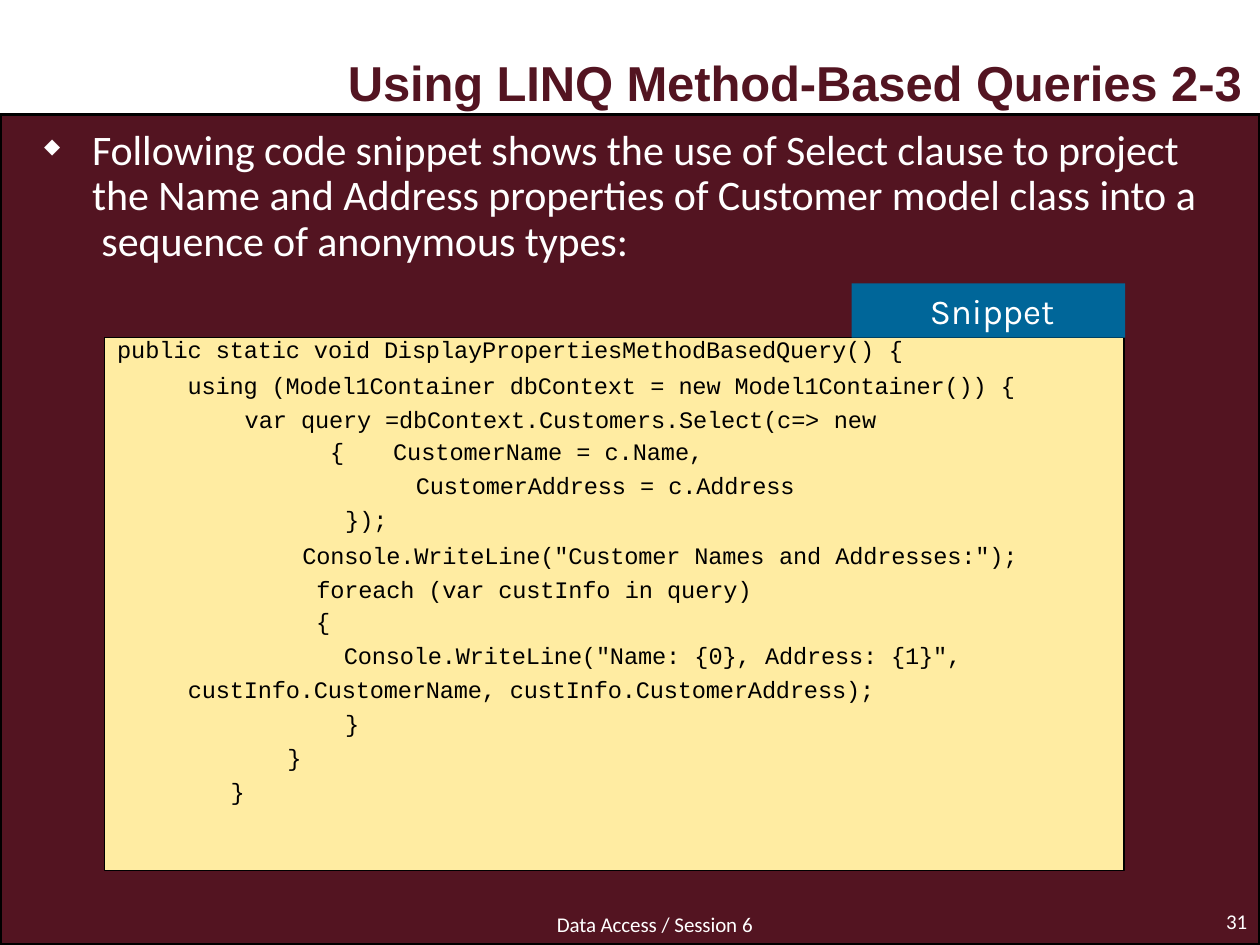
import pptx
import pptx.util
import pptx.dml.color
import pptx.enum.shapes
import pptx.enum.text
import pptx.oxml
import pptx.oxml.ns
from dataclasses import dataclass

Inches, Pt = pptx.util.Inches, pptx.util.Pt


@dataclass(frozen=True)
class Theme:
    """Colours, fonts and tracking used on the slide."""
    maroon: str = "531421"
    cream: str = "FFECA2"
    blue: str = "006699"
    white: str = "FFFFFF"
    black: str = "000000"
    tight: int = -5  # hundredths of a point
    # font, size, colour, bold
    title: tuple = ("Arial", 28, maroon, True)
    body: tuple = ("Calibri", 24, white, False)
    footer: tuple = ("Calibri", 12, white, False)
    code: tuple = ("Courier New", 13.5, black, False)
    label: tuple = ("Karla", 20, white, False)


T = Theme()

# Runs are parted by "|" and alternate between tight and normal tracking.
# Each paragraph: text, left indent, first-line indent, line spacing, space before
TITLE = [("Using LINQ Method-Based Queries |2-3", 2.67, 0, None, 0.9)]
NUMBER = [("|31", 0.04, 0, Pt(12.4), 0)]
FOOTER = [("Data Access |/ |Session |6", 0.01, 0, Pt(12.4), 0)]
BODY = [("Following code snippet shows |the |use of Select clause to project |"
         "the Name and |Address properties of Customer |model class |into |a\n |"
         "sequence of anonymous types:", 0.39, -0.38, Pt(25.9), 4.2)]
LABEL = [("Snippet", 0.62, 0, None, 3.5)]
CODE = [
    ("|public |static void DisplayPropertiesMethodBasedQuery() |{", 0.1, 0, Pt(14.7), 0),
    ("using (Model1Container dbContext |= |new Model1Container()) |{\n var |"
     "query =dbContext.Customers.Select(c=>| new", 1, -0.34, Pt(19.5), 1.1),
    ("|{\tCustomerName = c.Name,", 1.79, 0, None, 1.9),
    ("CustomerAddress |= |c.Address", 2.47, 0, None, 3.2),
    ("|});", 1.91, 0, None, 3.2),
    ("Console.WriteLine(\"Customer Names |and |Addresses:\");\n foreach |"
     "|(var custInfo |in query)", 1.57, 0, Pt(19.5), 1.1),
    ("|{", 1.68, 0, None, 2),
    ("Console.WriteLine(\"Name: |{0}, |Address: {1}\",\n custInfo.CustomerName, "
     "custInfo.CustomerAddress);", 0.55, 1.35, 1.2, 0),
    ("|}", 1.91, 0, None, 3.2),
    ("|}", 1.45, 0, None, 3.2),
    ("|}", 1, 0, None, 3.2),
]
CODE_TAB = 2.47


def rgb(value):
    """Turn a hex string into a colour."""
    return pptx.dml.color.RGBColor.from_string(value)


def add_runs(p, text, style):
    """Add the runs of one paragraph, breaking lines at newlines."""
    font, size, colour, bold = style
    for i, part in enumerate(text.split("|")):
        for j, line in enumerate(part.split("\n")):
            if j:
                p.add_line_break()
            if not line:
                continue
            r = p.add_run()
            r.text = line
            r.font.name, r.font.size, r.font.bold = font, Pt(size), bold
            r.font.color.rgb = rgb(colour)
            if i % 2 == 0:
                r.font._element.set("spc", str(T.tight))


def write(shape, paragraphs, style, top=0):
    """Fill a shape with left-aligned paragraphs."""
    tf = shape.text_frame
    tf.word_wrap = True
    tf.auto_size = pptx.enum.text.MSO_AUTO_SIZE.NONE
    tf.vertical_anchor = pptx.enum.text.MSO_ANCHOR.TOP
    tf.margin_left = tf.margin_right = tf.margin_bottom = 0
    tf.margin_top = Inches(top)
    for i, (text, left, first, spacing, before) in enumerate(paragraphs):
        p = tf.add_paragraph() if i else tf.paragraphs[0]
        p.alignment = pptx.enum.text.PP_ALIGN.LEFT
        p.space_before = Pt(before)
        p.line_spacing = spacing or 1.0
        pPr = p._p.get_or_add_pPr()
        pPr.set("marL", str(Inches(left)))
        pPr.set("indent", str(Inches(first)))
        add_runs(p, text, style)
    return tf


def add_xml(p, xml):
    """Append one drawing element to the paragraph properties."""
    p._p.get_or_add_pPr().append(pptx.oxml.parse_xml(
        xml.replace(" ", " " + pptx.oxml.ns.nsdecls("a") + " ", 1)))


def add_box(s, at, fill, line_width=0):
    """Add a flat rectangle, outlined in black when a width is given."""
    sp = s.shapes.add_shape(pptx.enum.shapes.MSO_SHAPE.RECTANGLE, *map(Inches, at))
    sp.shadow.inherit = False
    sp.fill.solid()
    sp.fill.fore_color.rgb = rgb(fill)
    if line_width:
        sp.line.color.rgb = rgb(T.black)
        sp.line.width = Pt(line_width)
    else:
        sp.line.fill.background()
    return sp


def add_text(s, at, paragraphs, style, top=0):
    """Add a text box."""
    return write(s.shapes.add_textbox(*map(Inches, at)), paragraphs, style, top)


def build():
    """Build and save the slide."""
    prs = pptx.Presentation()
    prs.slide_width, prs.slide_height = Inches(10), Inches(7.5)
    s = prs.slides.add_slide(prs.slide_layouts[5])
    s.background.fill.solid()
    s.background.fill.fore_color.rgb = rgb(T.white)

    add_box(s, (0, 0.91, 10, 6.59), T.maroon, 2.04)
    title = s.shapes.title
    title.left, title.top, title.width, title.height = map(Inches, (0.09, 0.41, 9.83, 0.49))
    write(title, TITLE, T.title, 0.01)
    add_text(s, (9.69, 7.24, 0.25, 0.19), NUMBER, T.footer)
    add_text(s, (4.41, 7.26, 1.6, 0.19), FOOTER, T.footer)

    body = add_text(s, (0.34, 0.96, 9.18, 1.15), BODY, T.body, 0.06)
    add_xml(body.paragraphs[0], '<a:buSzPct val="50000"/>')
    add_xml(body.paragraphs[0], '<a:buChar char="\u25c6"/>')

    code = write(add_box(s, (0.83, 2.68, 8.09, 4.23), T.cream, 0.96), CODE, T.code)
    for p in code.paragraphs:
        if "\t" in p.text:
            add_xml(p, '<a:tabLst ><a:tab pos="%d" algn="l"/></a:tabLst>' % Inches(CODE_TAB))
    write(add_box(s, (6.76, 2.25, 2.17, 0.43), T.blue), LABEL, T.label, 0.05)
    prs.save("out.pptx")


build()
